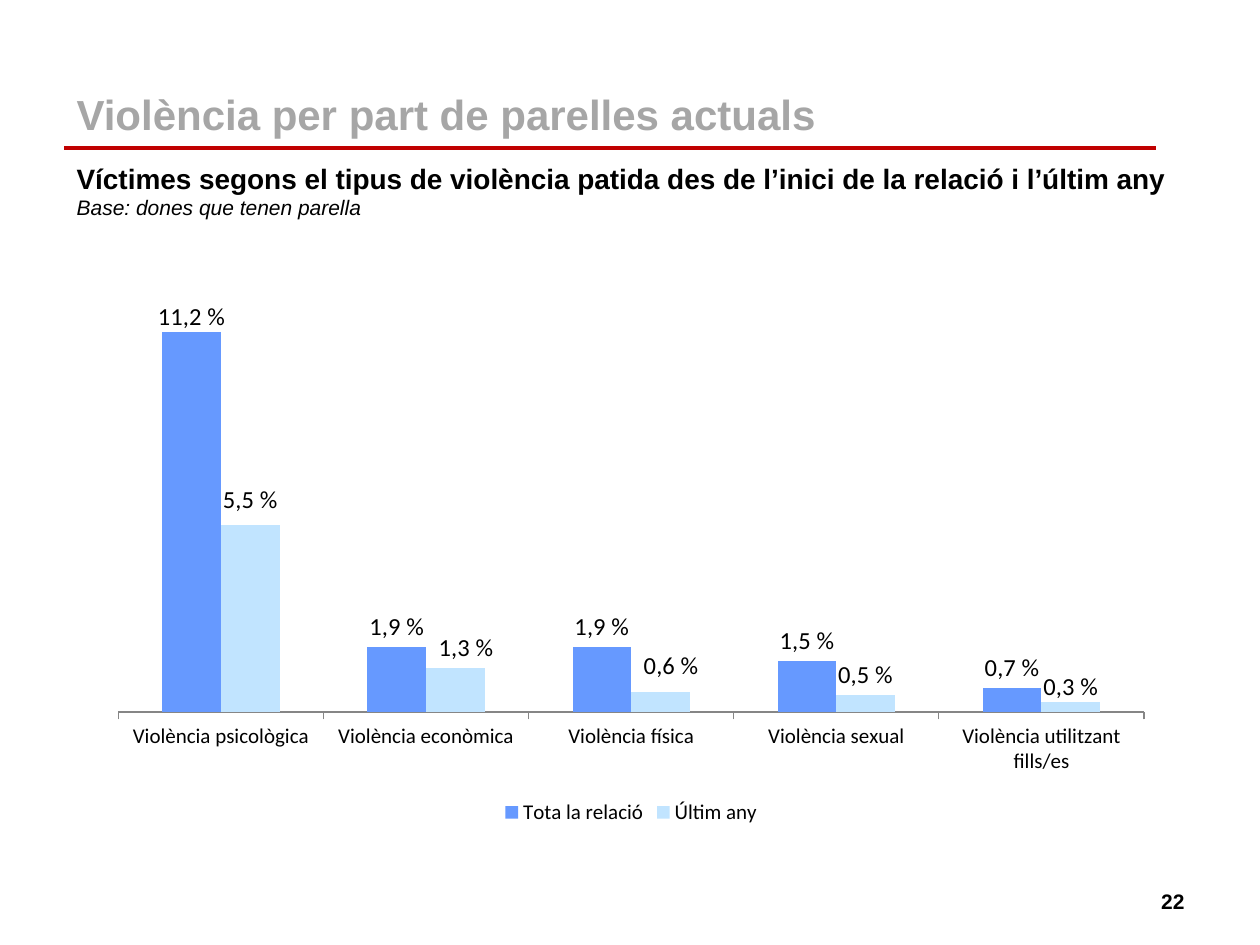
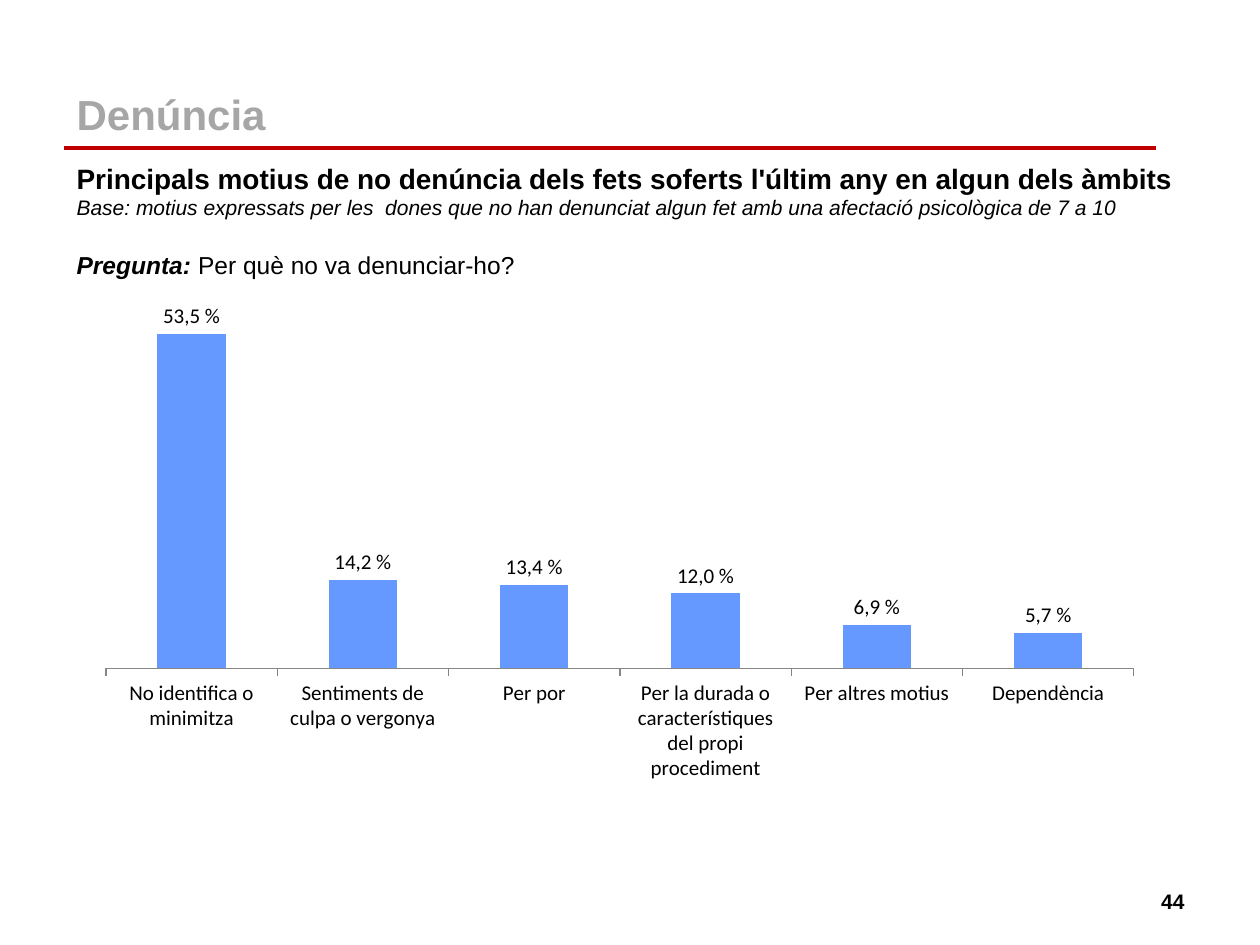
from dataclasses import dataclass, field
from typing import NamedTuple

from lxml.etree import SubElement
from pptx import Presentation
from pptx.chart.data import CategoryChartData
from pptx.dml.color import RGBColor
from pptx.enum.chart import (XL_CHART_TYPE as ChartType, XL_LABEL_POSITION as LabelPosition,
                             XL_LEGEND_POSITION as LegendPosition, XL_TICK_MARK as TickMark)
from pptx.enum.shapes import MSO_CONNECTOR as ConnectorType
from pptx.enum.text import MSO_ANCHOR as Anchor, PP_ALIGN as Align
from pptx.oxml import parse_xml
from pptx.oxml.ns import nsdecls, qn
from pptx.util import Pt

BLACK, GREY, RED, AXIS = "000000", "A6A6A6", "C00000", "868686"
BLUE, PALE_BLUE = "6699FF", "C1E4FF"
TEXT_FONT, CHART_FONT = "Arial", "Calibri"
ONE_DECIMAL = "0.0"

# Text styles shared by both slides
TITLE = {"name": TEXT_FONT, "size": Pt(24), "bold": True, "color": GREY}
HEADING = {"name": TEXT_FONT, "size": Pt(16), "bold": True, "color": BLACK}
BASE = {"name": TEXT_FONT, "size": Pt(12), "italic": True, "color": BLACK}
QUESTION = {"name": TEXT_FONT, "size": Pt(14), "color": BLACK}
QUESTION_LEAD = QUESTION | {"bold": True, "italic": True}
PAGE_NUMBER = {"name": TEXT_FONT, "size": Pt(12), "bold": True, "color": BLACK}
CHART_TEXT = {"name": CHART_FONT, "color": BLACK}


class Box(NamedTuple):
    left: float
    top: float
    width: float
    height: float

    def points(self) -> list:
        return [Pt(length) for length in self]


class Run(NamedTuple):
    text: str
    style: dict


class Line(NamedTuple):
    runs: list[Run]
    space_before: float = 0


@dataclass
class Series:
    name: str
    values: list[float]
    color: str
    # Label shifts by bar index, as fractions of the chart area
    label_shifts: dict[int, tuple[float, float]] = field(default_factory=dict)


@dataclass
class BarChart:
    box: Box
    plot: Box  # fractions of the chart area
    categories: list[str]
    series: list[Series]
    maximum: float
    text_size: float
    label_size: float
    has_legend: bool = False


@dataclass
class ReportSlide:
    title: str
    page: int
    intro_box: Box
    intro: list[Line]
    chart: BarChart


TITLE_BOX = Box(36.72, 45.36, 657.36, 39.6)
PAGE_BOX = Box(516.24, 500.4, 167.76, 28.8)
RULE_LEFT, RULE_RIGHT, RULE_Y = 36.72, 660.5, 84.5

SLIDES = [
    ReportSlide(
        "Violència per part de parelles actuals", 22, Box(36.72, 88.56, 646.56, 41.04),
        [Line([Run("Víctimes segons el tipus de violència patida des de l’inici "
                   "de la relació i l’últim any", HEADING)]),
         Line([Run("Base: dones que tenen parella", BASE)])],
        BarChart(
            Box(55.44, 168.2, 610.56, 306), Box(0.02, 0.02, 0.96, 0.76),
            ["Violència psicològica", "Violència econòmica", "Violència física",
             "Violència sexual", "Violència utilitzant fills/es"],
            [Series("Tota la relació", [11.2, 1.9, 1.9, 1.5, 0.7], BLUE, {0: (0, 0.01)}),
             Series("Últim any", [5.5, 1.3, 0.6, 0.5, 0.3], PALE_BLUE,
                    {0: (0, -0.01), 1: (0.01, 0), 2: (0.01, -0.01), 4: (0, 0.01)})],
            maximum=12, text_size=12, label_size=14, has_legend=True)),
    ReportSlide(
        "Denúncia", 44, Box(36.72, 88.56, 657.36, 74.88),
        [Line([Run("Principals motius de no denúncia dels fets soferts l'últim any "
                   "en algun dels àmbits", HEADING)]),
         Line([Run("Base: motius expressats per les  dones que no han denunciat algun fet "
                   "amb una afectació psicològica de 7 a 10", BASE)]),
         Line([Run("Pregunta: ", QUESTION_LEAD),
               Run("Per què no va denunciar-ho?", QUESTION)], space_before=17)],
        BarChart(
            Box(48.24, 162, 612, 289.44), Box(0.02, 0.02, 0.96, 0.74),
            ["No identifica o minimitza", "Sentiments de culpa o vergonya", "Per por",
             "Per la durada o característiques del propi procediment",
             "Per altres motius", "Dependència"],
            [Series("Series 1", [53.5, 14.2, 13.4, 12, 6.9, 5.7], BLUE)],
            maximum=60, text_size=10, label_size=12)),
]


def rgb(color: str) -> RGBColor:
    return RGBColor.from_string(color)


def style_font(font, style: dict) -> None:
    for attribute, value in style.items():
        if attribute == "color":
            font.color.rgb = rgb(value)
        else:
            setattr(font, attribute, value)


def add_text(slide, box: Box, lines: list[Line], anchor=Anchor.TOP, align=Align.LEFT) -> None:
    frame = slide.shapes.add_textbox(*box.points()).text_frame
    frame.word_wrap = True
    frame.vertical_anchor = anchor
    for index, line in enumerate(lines):
        paragraph = frame.add_paragraph() if index else frame.paragraphs[0]
        paragraph.alignment = align
        if line.space_before:
            paragraph.space_before = Pt(line.space_before)
        for text, style in line.runs:
            run = paragraph.add_run()
            run.text = text
            style_font(run.font, style)


def add_rule(slide) -> None:
    rule = slide.shapes.add_connector(ConnectorType.STRAIGHT, Pt(RULE_LEFT), Pt(RULE_Y),
                                      Pt(RULE_RIGHT), Pt(RULE_Y))
    rule.line.color.rgb = rgb(RED)
    rule.line.width = Pt(2.25)
    SubElement(rule.element.spPr, qn("a:effectLst"))


def set_layout(parent, position: int, fractions: tuple, mode: str = "") -> None:
    """Place a chart part by hand, replacing any layout it has."""
    for layout in parent.findall(qn("c:layout")):
        parent.remove(layout)
    lengths = "".join(f'<c:{tag} val="{value}"/>' for tag, value in zip("xywh", fractions))
    parent.insert(position, parse_xml(
        f'<c:layout {nsdecls("c")}><c:manualLayout>{mode}{lengths}'
        f'</c:manualLayout></c:layout>'))


def label_bars(bars, series: Series, size: float) -> None:
    """Write each value as a percentage with a decimal comma."""
    style = CHART_TEXT | {"size": Pt(size)}
    labels = bars.data_labels
    labels.show_value = True
    labels.number_format, labels.number_format_is_linked = ONE_DECIMAL, False
    style_font(labels.font, style | {"bold": True})
    for index, value in enumerate(series.values):
        label = bars.points[index].data_label
        run = label.text_frame.paragraphs[0].add_run()
        run.text = f"{value:.1f} %".replace(".", ",")
        style_font(run.font, style | {"bold": False})
        label.position = LabelPosition.OUTSIDE_END
    for index, label_part in enumerate(labels._element.findall(qn("c:dLbl"))):
        if index in series.label_shifts:
            set_layout(label_part, 1, series.label_shifts[index])


def add_bar_chart(slide, content: BarChart) -> None:
    data = CategoryChartData(number_format=ONE_DECIMAL)
    data.categories = content.categories
    for series in content.series:
        data.add_series(series.name, series.values)
    chart = slide.shapes.add_chart(ChartType.COLUMN_CLUSTERED, *content.box.points(), data).chart
    style_font(chart.font, CHART_TEXT | {"size": Pt(content.text_size)})
    chart.has_title = False
    chart.has_legend = content.has_legend
    if content.has_legend:
        chart.legend.position = LegendPosition.BOTTOM
        chart.legend.include_in_layout = False
    set_layout(chart.element.find(".//" + qn("c:plotArea")), 0, content.plot,
               '<c:layoutTarget val="inner"/><c:xMode val="edge"/><c:yMode val="edge"/>')

    # Axes
    value_axis, category_axis = chart.value_axis, chart.category_axis
    value_axis.minimum_scale, value_axis.maximum_scale = 0, content.maximum
    value_axis.has_major_gridlines = False
    value_axis.tick_labels.number_format = ONE_DECIMAL
    value_axis.visible = False
    category_axis.major_tick_mark = TickMark.OUTSIDE
    category_axis.format.line.color.rgb = rgb(AXIS)
    style_font(category_axis.tick_labels.font, CHART_TEXT | {"size": Pt(12)})

    # Bars
    columns = chart.plots[0]
    columns.gap_width, columns.overlap = 150, 0
    columns.vary_by_categories = False
    for bars, series in zip(columns.series, content.series):
        bars.format.fill.solid()
        bars.format.fill.fore_color.rgb = rgb(series.color)
        label_bars(bars, series, content.label_size)


def add_report_slide(deck, content: ReportSlide) -> None:
    slide = deck.slides.add_slide(deck.slide_layouts[6])
    add_rule(slide)
    add_text(slide, PAGE_BOX, [Line([Run(str(content.page), PAGE_NUMBER)])],
             Anchor.MIDDLE, Align.RIGHT)
    add_text(slide, content.intro_box, content.intro)
    add_text(slide, TITLE_BOX, [Line([Run(content.title, TITLE)])], Anchor.MIDDLE)
    add_bar_chart(slide, content.chart)


def main() -> None:
    deck = Presentation()
    deck.slide_width, deck.slide_height = Pt(720), Pt(540)
    for content in SLIDES:
        add_report_slide(deck, content)
    deck.save("out.pptx")


if __name__ == "__main__":
    main()
